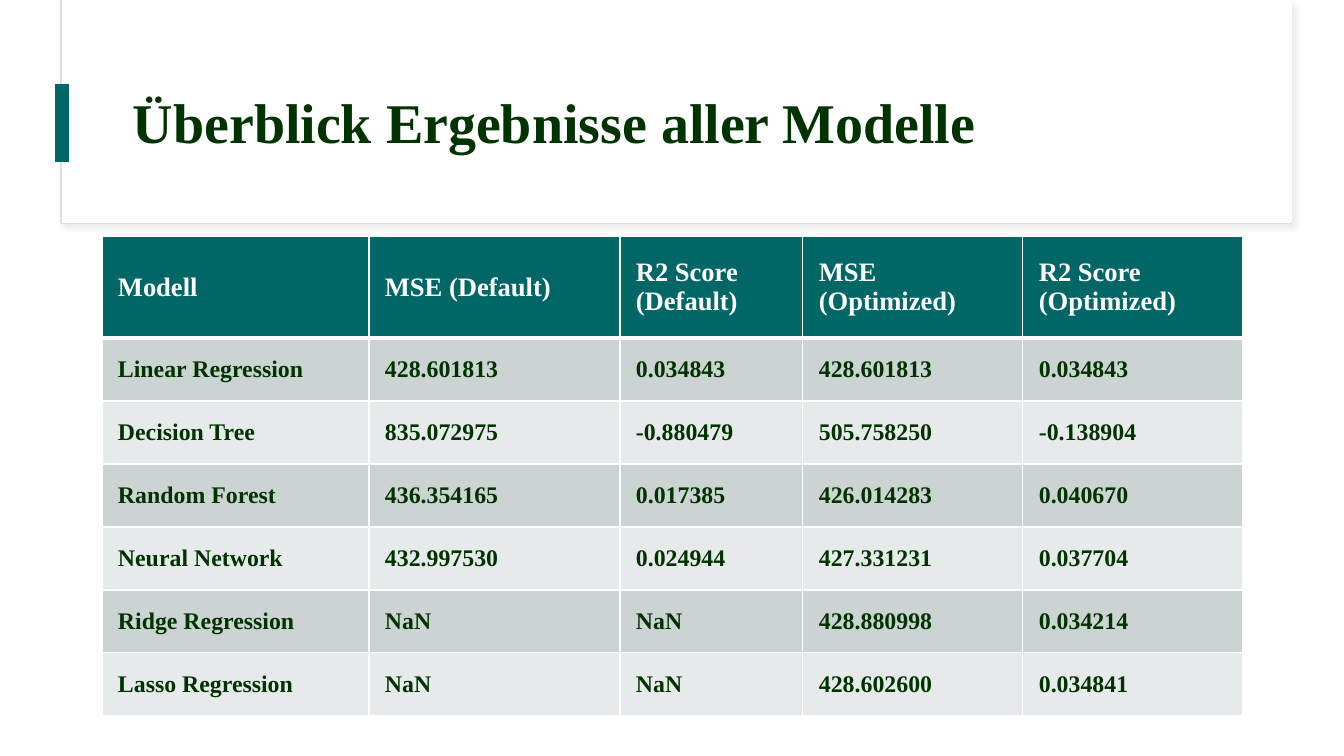
"""Build a slide with a table that compares the results of all models."""
from lxml import etree
from pptx import Presentation
from pptx.dml.color import RGBColor
from pptx.enum.shapes import MSO_SHAPE
from pptx.enum.text import MSO_ANCHOR
from pptx.oxml import parse_xml
from pptx.util import Emu, Pt

TITLE = "Überblick Ergebnisse aller Modelle"
HEAD = ["Modell", "MSE (Default)", "R2 Score (Default)", "MSE (Optimized)", "R2 Score (Optimized)"]
ROWS = [
    ("Linear Regression", "428.601813", "0.034843", "428.601813", "0.034843"),
    ("Decision Tree", "835.072975", "-0.880479", "505.758250", "-0.138904"),
    ("Random Forest", "436.354165", "0.017385", "426.014283", "0.040670"),
    ("Neural Network", "432.997530", "0.024944", "427.331231", "0.037704"),
    ("Ridge Regression", "NaN", "NaN", "428.880998", "0.034214"),
    ("Lasso Regression", "NaN", "NaN", "428.602600", "0.034841"),
]
WIDTHS = [267, 251, 183, 220, 220]
HEAD_H, ROW_H = 102, 63

FONT = "Times New Roman"
WHITE = RGBColor(0xFF, 0xFF, 0xFF)
GREEN = RGBColor(0x00, 0x33, 0x00)
TEAL = RGBColor(0x00, 0x66, 0x66)
EDGE = RGBColor(0xDE, 0xDE, 0xDE)
SHADE = RGBColor(0xD9, 0xD9, 0xD9)
BANDS = [RGBColor(0xCC, 0xD3, 0xD3), RGBColor(0xE7, 0xEA, 0xEA)]
RECT = MSO_SHAPE.RECTANGLE
MIDDLE = MSO_ANCHOR.MIDDLE
NS = "http://schemas.openxmlformats.org/drawingml/2006/main"


def px(*vals):
    return [Emu(round(val * 914400 / 100.8)) for val in vals]


def write(frame, text, size=17, color=GREEN, space=None):
    para = frame.paragraphs[0]
    para.line_spacing = space
    run = para.add_run()
    run.text = text
    font = run.font
    font.name, font.size, font.bold = FONT, Pt(size), True
    font.color.rgb = color


def box(slide, area, fill, line=None):
    shape = slide.shapes.add_shape(RECT, *px(*area))
    shape.shadow.inherit = False
    shape.fill.solid()
    shape.fill.fore_color.rgb = fill
    if line is None:
        shape.line.fill.background()
    else:
        shape.line.color.rgb = line
        shape.line.width = Pt(0.75)
    return shape


def shadow(shape):
    effects = shape.element.spPr.find(f"{{{NS}}}effectLst")
    effects.append(parse_xml(
        f'<a:outerShdw xmlns:a="{NS}" blurRad="{Pt(4)}" dist="{Pt(3)}" dir="2700000" '
        f'algn="tl" rotWithShape="0"><a:srgbClr val="{SHADE}">'
        '<a:alpha val="50000"/></a:srgbClr></a:outerShdw>'))


def border(cell, side, width):
    line = etree.SubElement(cell._tc.get_or_add_tcPr(), f"{{{NS}}}ln{side}", w=str(Pt(width)))
    fill = etree.SubElement(line, f"{{{NS}}}solidFill")
    etree.SubElement(fill, f"{{{NS}}}srgbClr", val=str(WHITE))


def grid(slide):
    data = [HEAD, *ROWS]
    area = px(102, 236, sum(WIDTHS), HEAD_H + ROW_H * len(ROWS))
    table = slide.shapes.add_table(len(data), len(HEAD), *area).table
    for col, width in zip(table.columns, px(*WIDTHS)):
        col.width = width
    for r, vals in enumerate(data):
        top = r == 0
        table.rows[r].height = px(HEAD_H if top else ROW_H)[0]
        for c, text in enumerate(vals):
            cell = table.cell(r, c)
            cell.vertical_anchor = MIDDLE
            cell.margin_left, cell.margin_top, cell.margin_right, cell.margin_bottom = px(16, 12, 12, 12)
            for side in "LRTB":
                thick = (r, side) in [(0, "B"), (1, "T")]
                border(cell, side, 3 if thick else 1)
            cell.fill.solid()
            cell.fill.fore_color.rgb = TEAL if top else BANDS[(r - 1) % 2]
            write(cell.text_frame, text, size=19 if top else 17, color=WHITE if top else GREEN)


def main():
    deck = Presentation()
    deck.slide_width, deck.slide_height = px(1344, 756)
    slide = deck.slides.add_slide(deck.slide_layouts[6])
    shadow(box(slide, (61, 1, 1231, 223), WHITE, line=EDGE))
    box(slide, (62, 0, 1230, 222), WHITE)
    frame = slide.shapes.add_textbox(*px(123, 60, 1121, 130)).text_frame
    frame.word_wrap = True
    frame.vertical_anchor = MIDDLE
    write(frame, TITLE, size=40, space=0.9)
    box(slide, (55, 84, 14, 78), TEAL)
    grid(slide)
    deck.save("out.pptx")


if __name__ == "__main__":
    main()
